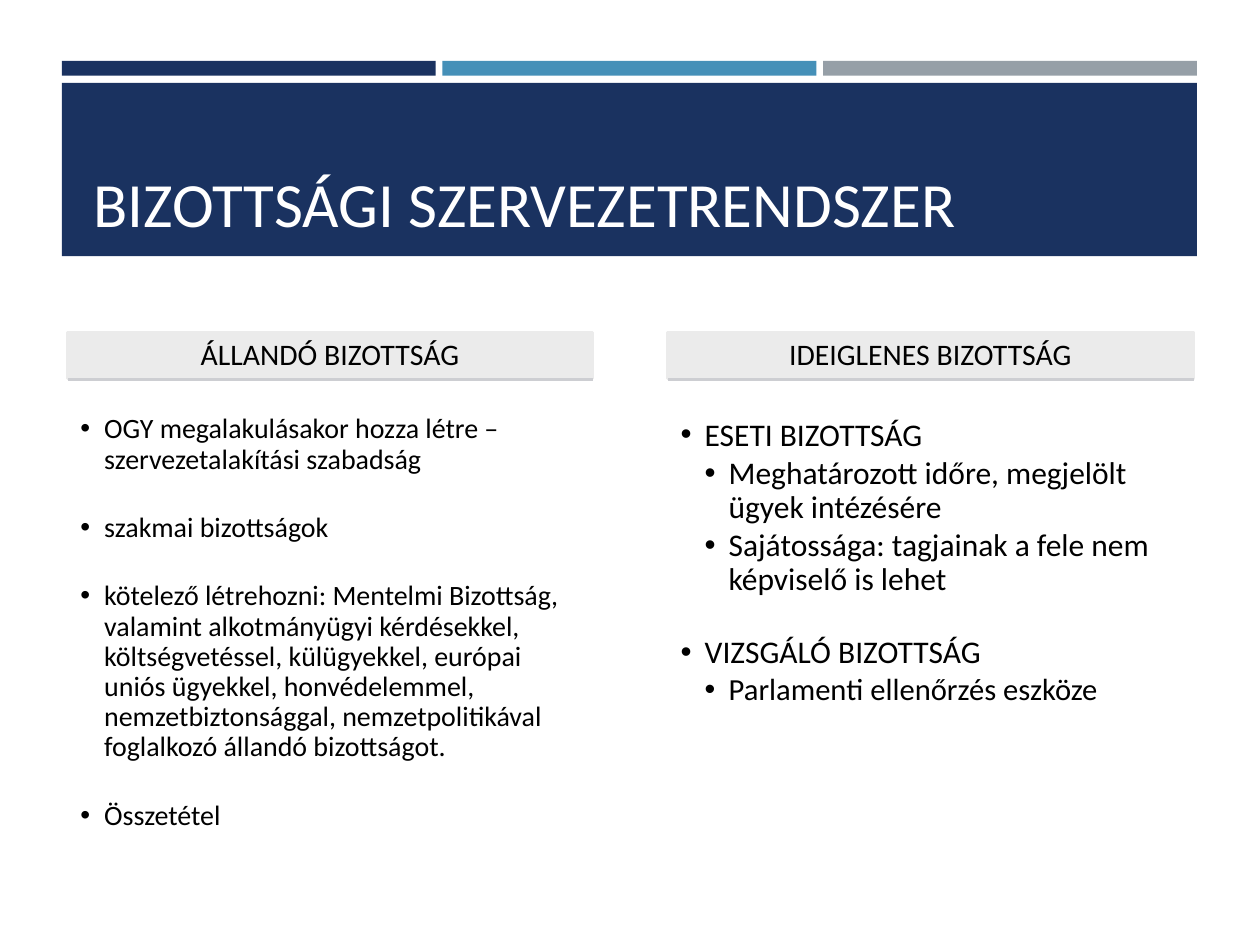
"""Build a slide comparing standing and temporary parliamentary committees."""
from dataclasses import dataclass

from lxml.etree import SubElement
from pptx import Presentation
from pptx.dml.color import RGBColor
from pptx.enum.shapes import MSO_CONNECTOR, MSO_SHAPE
from pptx.enum.text import MSO_ANCHOR, MSO_AUTO_SIZE, PP_ALIGN
from pptx.oxml.ns import qn
from pptx.util import Pt

TITLE = "BIZOTTSÁGI SZERVEZETRENDSZER"
COLUMNS = [
    {
        "heading": "ÁLLANDÓ BIZOTTSÁG",
        "left": 38.5, "top": 237, "size": 16, "gap": 21.8,
        "items": [
            (1, "OGY megalakulásakor hozza létre – szervezetalakítási szabadság"),
            (1, "szakmai bizottságok"),
            (1, "kötelező létrehozni: Mentelmi Bizottság, valamint alkotmányügyi "
                "kérdésekkel, költségvetéssel, külügyekkel, európai uniós ügyekkel, "
                "honvédelemmel, nemzetbiztonsággal, nemzetpolitikával foglalkozó "
                "állandó bizottságot."),
            (1, "Összetétel"),
        ],
    },
    {
        "heading": "IDEIGLENES BIZOTTSÁG",
        "left": 381.6, "top": 239.3, "size": 18, "gap": 22,
        "items": [
            (1, "ESETI BIZOTTSÁG"),
            (2, "Meghatározott időre, megjelölt ügyek intézésére"),
            (2, "Sajátossága: tagjainak a fele nem képviselő is lehet"),
            (1, "VIZSGÁLÓ BIZOTTSÁG"),
            (2, "Parlamenti ellenőrzés eszköze"),
        ],
    },
]


@dataclass(frozen=True)
class Theme:
    font: str = "Calibri"
    navy: str = "1A3260"
    blue: str = "4590B8"
    grey: str = "969FA7"
    panel: str = "EBEBEB"
    rule: str = "CDCED2"
    text: str = "000000"
    title_text: str = "FFFFFF"
    title_size: float = 36
    heading_size: float = 17
    last_size: float = 17.5
    line_width: float = 1.75


THEME = Theme()
LEFT, WIDTH = 35.3, 648.7
BAR_TOP, BAR_HEIGHT, BAR_GAP = 34.8, 8.4, 3.9
BANNER_TOP, BANNER_HEIGHT = 47.4, 99
COLUMN_WIDTH, HEADING_TOP, HEADING_HEIGHT = 300.2, 190, 26.6
INDENT, SUB_GAP = 13.7, 2.5


def color(code):
    return RGBColor.from_string(code)


def set_font(paragraph, size, code):
    paragraph.font.name = THEME.font
    paragraph.font.size = Pt(size)
    paragraph.font.color.rgb = color(code)


def add_rectangle(page, left, top, width, height, fill):
    box = page.shapes.add_shape(
        MSO_SHAPE.RECTANGLE, Pt(left), Pt(top), Pt(width), Pt(height))
    box.shadow.inherit = False
    box.fill.solid()
    box.fill.fore_color.rgb = color(fill)
    box.line.fill.background()
    return box


def add_banner(page):
    bars = [THEME.navy, THEME.blue, THEME.grey]
    width = (WIDTH - BAR_GAP * (len(bars) - 1)) / len(bars)
    for index, fill in enumerate(bars):
        add_rectangle(page, LEFT + index * (width + BAR_GAP), BAR_TOP,
                      width, BAR_HEIGHT, fill)
    banner = add_rectangle(page, LEFT, BANNER_TOP, WIDTH, BANNER_HEIGHT, THEME.navy)
    title = page.shapes.title
    title.element.addprevious(banner.element)
    title.left, title.top, title.width, title.height = (
        Pt(46.1), Pt(54), Pt(629.3), Pt(85))
    frame = title.text_frame
    frame.text = TITLE
    frame.auto_size = MSO_AUTO_SIZE.NONE
    frame.vertical_anchor = MSO_ANCHOR.BOTTOM
    frame.margin_bottom = Pt(1.5)
    paragraph = frame.paragraphs[0]
    paragraph.alignment = PP_ALIGN.LEFT
    set_font(paragraph, THEME.title_size, THEME.title_text)


def add_heading(page, column):
    box = add_rectangle(page, column["left"], HEADING_TOP,
                        COLUMN_WIDTH, HEADING_HEIGHT, THEME.panel)
    box.line.color.rgb = color(THEME.panel)
    box.line.width = Pt(THEME.line_width)
    frame = box.text_frame
    frame.text = column["heading"]
    frame.word_wrap = True
    frame.vertical_anchor = MSO_ANCHOR.MIDDLE
    frame.margin_top = frame.margin_bottom = Pt(0)
    paragraph = frame.paragraphs[0]
    paragraph.alignment = PP_ALIGN.CENTER
    paragraph.line_spacing = 0.9
    set_font(paragraph, THEME.heading_size, THEME.text)

    bottom = Pt(HEADING_TOP + HEADING_HEIGHT)
    rule = page.shapes.add_connector(
        MSO_CONNECTOR.STRAIGHT, Pt(column["left"] + 0.3), bottom,
        Pt(column["left"] + 0.3 + COLUMN_WIDTH), bottom)
    rule.line.color.rgb = color(THEME.rule)
    rule.line.width = Pt(THEME.line_width)
    SubElement(rule.element.spPr, qn("a:effectLst"))


def add_bullets(page, column):
    box = page.shapes.add_textbox(Pt(column["left"] + 0.3), Pt(column["top"]),
                                  Pt(COLUMN_WIDTH), Pt(250))
    frame = box.text_frame
    frame.word_wrap = True
    frame.margin_left, frame.margin_right = Pt(7.2), Pt(9.8)
    frame.margin_top = frame.margin_bottom = Pt(0)
    for index, (level, text) in enumerate(column["items"]):
        paragraph = frame.paragraphs[0] if index == 0 else frame.add_paragraph()
        paragraph.text = text
        paragraph.level = level - 1
        paragraph.line_spacing = 0.9
        if index:
            paragraph.space_before = Pt(column["gap"] if level == 1 else SUB_GAP)
        properties = paragraph._p.get_or_add_pPr()
        properties.set("marL", str(Pt(INDENT * level)))
        properties.set("indent", str(-Pt(INDENT)))
        SubElement(properties, qn("a:buFont"), typeface="Arial")
        SubElement(properties, qn("a:buChar"), char="•")
        is_last_sub = level == 2 and index == len(column["items"]) - 1
        set_font(paragraph, THEME.last_size if is_last_sub else column["size"],
                 THEME.text)


def main():
    deck = Presentation()
    deck.slide_width, deck.slide_height = Pt(720), Pt(540)
    page = deck.slides.add_slide(deck.slide_layouts[5])
    add_banner(page)
    for column in COLUMNS:
        add_heading(page, column)
        add_bullets(page, column)
    deck.save("out.pptx")


if __name__ == "__main__":
    main()
